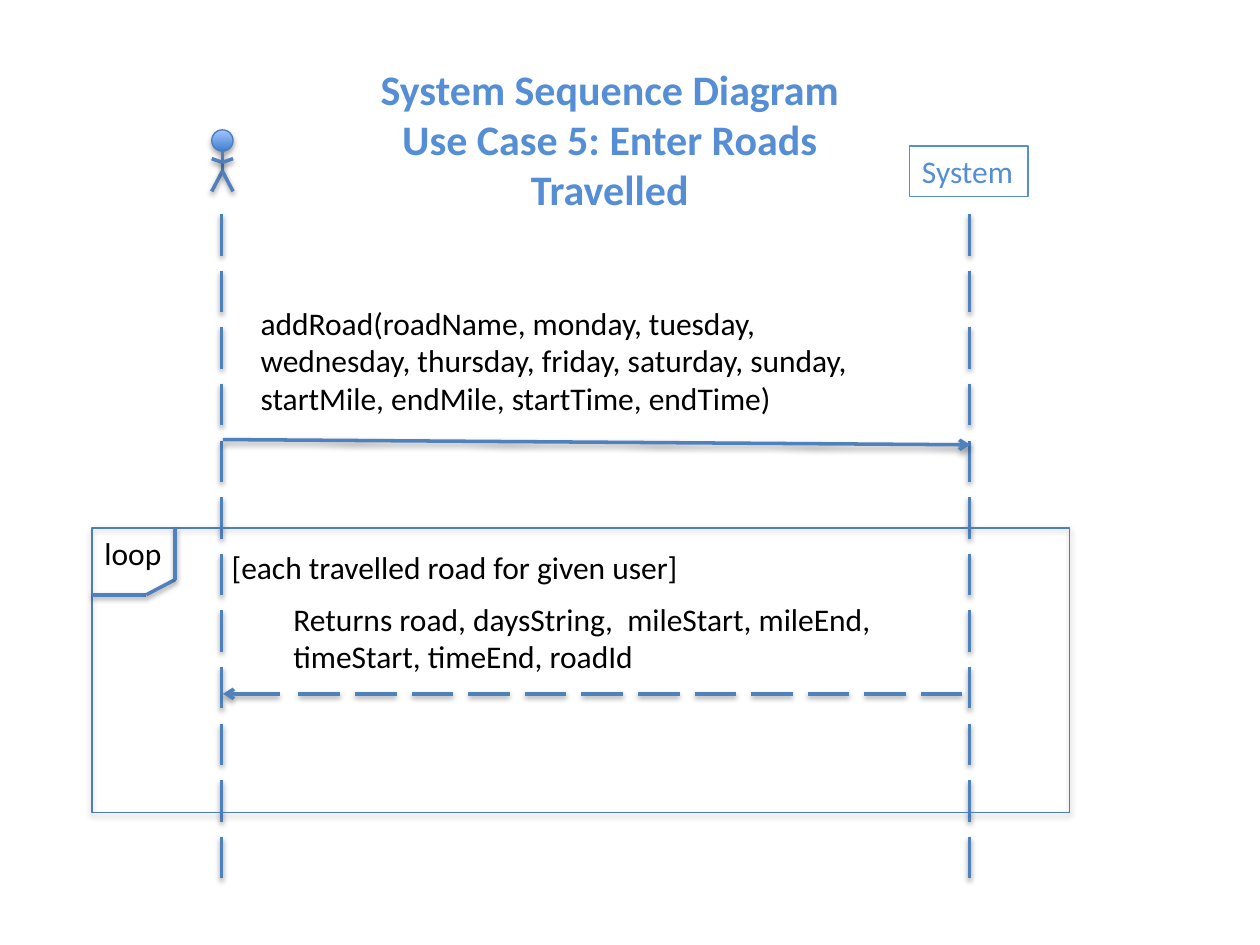
import pptx
import pptx.dml.color
import pptx.enum.shapes
import pptx.enum.text
import pptx.oxml
import pptx.oxml.ns
import pptx.util

Pt = pptx.util.Pt
FONT = "Calibri"
COLORS = {
    "heading": "558ED5",
    "stroke": "4F81BD",
    "outline": "4B7EBC",
    "head_bottom": "3F80CE",
    "head_top": "A4C4FF",
    "text": "000000",
}
DASH_LENGTH = 23.7
DASH_PITCH = 32.34
DASH_COUNT = 12


def color(name):
    return pptx.dml.color.RGBColor.from_string(COLORS[name])


def add_shadow(shape, distance, opacity):
    shape._element.spPr.append(pptx.oxml.parse_xml(
        f'<a:effectLst {pptx.oxml.ns.nsdecls("a")}>'
        f'<a:outerShdw blurRad="{Pt(3.1)}" dist="{Pt(distance)}" dir="5400000" rotWithShape="0">'
        f'<a:srgbClr val="000000"><a:alpha val="{opacity * 1000}"/></a:srgbClr>'
        '</a:outerShdw></a:effectLst>'))


def add_stroke(shapes, start, end, arrow=False):
    stroke = shapes.add_connector(
        pptx.enum.shapes.MSO_CONNECTOR.STRAIGHT, *(Pt(v) for v in (*start, *end)))
    stroke.line.color.rgb = color("stroke")
    stroke.line.width = Pt(2)
    if arrow:
        stroke.line._get_or_add_ln().append(pptx.oxml.parse_xml(
            f'<a:tailEnd {pptx.oxml.ns.nsdecls("a")} type="arrow"/>'))
    add_shadow(stroke, 1.6, 38)


def add_outlined(shapes, kind, box, line_color):
    shape = shapes.add_shape(kind, *(Pt(v) for v in box))
    shape.shadow.inherit = False
    shape.fill.background()
    shape.line.color.rgb = color(line_color)
    shape.line.width = Pt(0.75)
    return shape


def add_shadowed(shapes, kind, box):
    shape = add_outlined(shapes, kind, box, "outline")
    effects = shape._element.spPr.find(pptx.oxml.ns.qn("a:effectLst"))
    shape._element.spPr.remove(effects)
    add_shadow(shape, 1.8, 35)
    return shape


def write(shape, text, text_color="text", size=18, bold=False, wrap=True, align="LEFT"):
    frame = shape.text_frame
    frame.text = text
    frame.word_wrap = wrap
    frame.auto_size = pptx.enum.text.MSO_AUTO_SIZE.NONE
    frame.vertical_anchor = pptx.enum.text.MSO_ANCHOR.TOP
    for paragraph in frame.paragraphs:
        paragraph.alignment = getattr(pptx.enum.text.PP_ALIGN, align)
        for run in paragraph.runs:
            run.font.name = FONT
            run.font.size = Pt(size)
            run.font.bold = bold
            run.font.color.rgb = color(text_color)


def add_label(shapes, text, box, wrap=True):
    write(shapes.add_textbox(*(Pt(v) for v in box)), text, wrap=wrap)


def place_title(slide, left, top, width, height):
    title = slide.shapes.title
    title.left, title.top, title.width, title.height = (
        Pt(v) for v in (left, top, width, height))
    write(title, "System Sequence Diagram\nUse Case 5: Enter Roads Travelled",
          "heading", 24, True, align="CENTER")


def draw_lifeline(shapes, left, top):
    for i in range(DASH_COUNT):
        y = top + i * DASH_PITCH
        add_stroke(shapes, (left, y), (left, y + DASH_LENGTH))


def draw_actor(slide, left, top, width, height):
    actor = slide.shapes.add_group_shape().shapes
    middle, right = left + width / 2, left + width
    hip, shoulder = top + height * 0.67, top + height * 0.53
    head = add_shadowed(actor, pptx.enum.shapes.MSO_SHAPE.OVAL, (left, top, width, width))
    head.fill.gradient()
    head.fill.gradient_angle = 90
    for stop, name in zip(head.fill.gradient_stops, ("head_bottom", "head_top")):
        stop.color.rgb = color(name)
    add_stroke(actor, (middle, top + width), (middle, hip))
    for side in (left, right):
        add_stroke(actor, (middle, hip), (side, top + height))
        add_stroke(actor, (middle, shoulder), (side, shoulder - 2.2))


def draw_system(slide, left, top, width, height):
    system = add_outlined(slide.shapes, pptx.enum.shapes.MSO_SHAPE.RECTANGLE,
                          (left, top, width, height), "heading")
    write(system, "System", "heading", wrap=False)


def draw_request(slide, left, top, width, height):
    add_label(slide.shapes,
              "addRoad(roadName, monday, tuesday, wednesday, thursday, friday, "
              "saturday, sunday, startMile, endMile, startTime, endTime)",
              (left + 14.4, top, 365.8, 72.7))
    add_stroke(slide.shapes, (left, top + height - 3), (left + width, top + height), True)


def draw_response(slide, left, top, width, height):
    bottom = top + height
    add_label(slide.shapes,
              "Returns road, daysString,  mileStart, mileEnd, timeStart, timeEnd, roadId",
              (left + 33.2, top, 345.6, 51.1))
    dashes = slide.shapes.add_group_shape().shapes
    for i in range(DASH_COUNT):
        x = left + width - i * DASH_PITCH
        add_stroke(dashes, (x, bottom), (x - DASH_LENGTH, bottom))
    add_stroke(slide.shapes, (left + 32.4, bottom), (left, bottom), True)


def draw_loop(slide, left, top, width, height):
    add_shadowed(slide.shapes, pptx.enum.shapes.MSO_SHAPE.RECTANGLE,
                 (left, top, width, height))
    add_label(slide.shapes, "loop", (left, top, 47.5, 29), wrap=False)
    tab = [(0, 38.2), (31, 38.2), (47.5, 29.5), (47.5, 0)]
    corners = [(left + x, top + y) for x, y in tab]
    for start, end in zip(corners, corners[1:]):
        add_stroke(slide.shapes, start, end)
    add_label(slide.shapes, "[each travelled road for given user]",
              (left + 72.7, top + 8, 273.6, 29), wrap=False)


deck = pptx.Presentation()
deck.slide_width, deck.slide_height = Pt(720), Pt(540)
diagram = deck.slides.add_slide(deck.slide_layouts[5])

place_title(diagram, 209.5, 32.4, 277.9, 94.3)
for lifeline_left in (126.6, 554):
    draw_lifeline(diagram.shapes, lifeline_left, 122.4)
draw_actor(diagram, 121, 74.2, 12.2, 35.2)
draw_system(diagram, 519.8, 83.5, 67.7, 29)
draw_request(diagram, 127.4, 169.9, 427, 84.3)
draw_response(diagram, 127.4, 339.1, 422.6, 57.4)
draw_loop(diagram, 52.6, 301.7, 558.7, 162.7)

deck.save("out.pptx")
